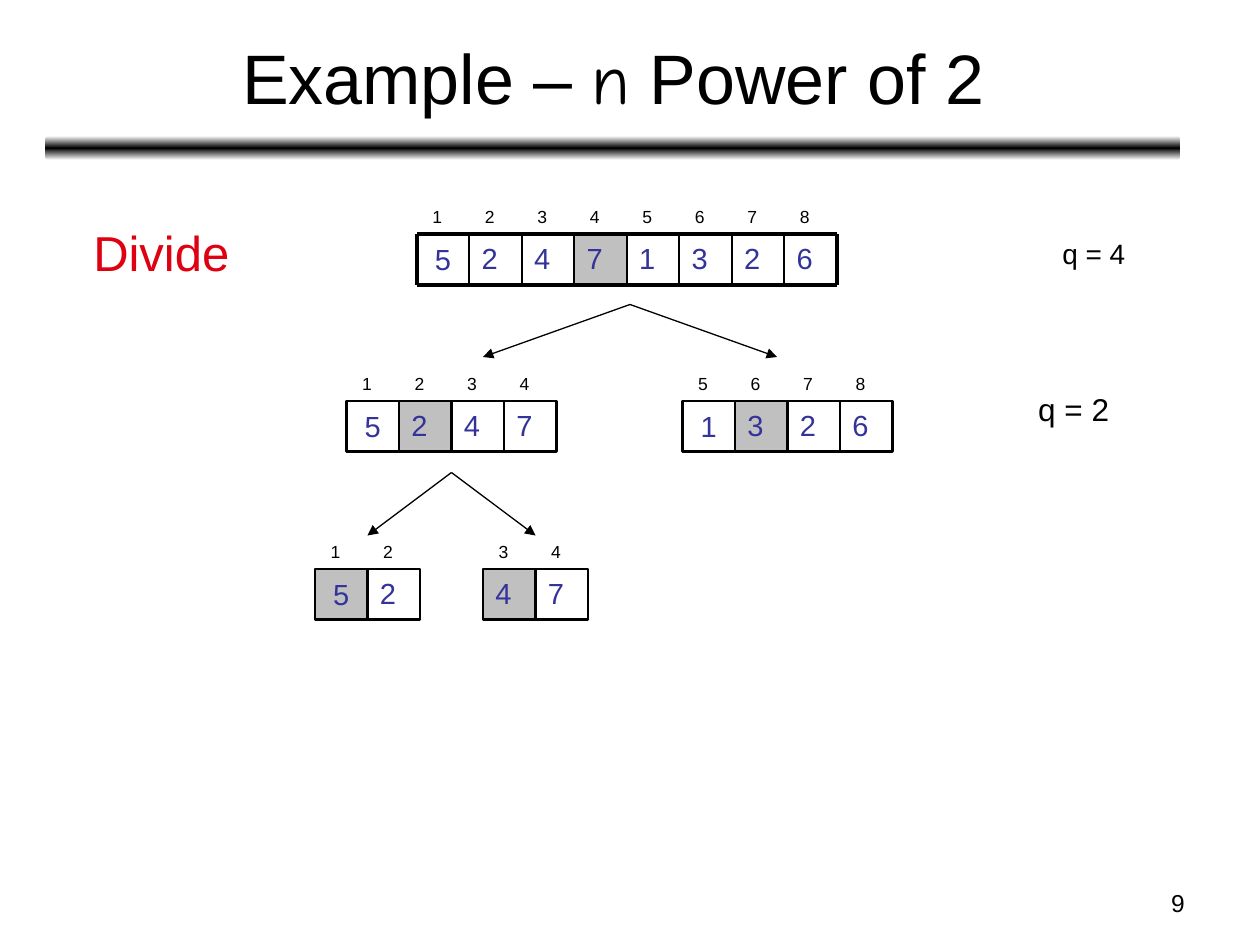
from copy import deepcopy
from dataclasses import dataclass
from itertools import product

from pptx import Presentation
from pptx.dml.color import RGBColor
from pptx.enum.shapes import MSO_CONNECTOR, MSO_SHAPE
from pptx.enum.text import MSO_ANCHOR, MSO_AUTO_SIZE, PP_ALIGN
from pptx.oxml.ns import qn
from pptx.oxml.xmlchemy import OxmlElement
from pptx.util import Inches, Pt

RECT, ROUND = MSO_SHAPE.RECTANGLE, MSO_SHAPE.ROUNDED_RECTANGLE
LINE = MSO_CONNECTOR.STRAIGHT
TOP, MID = MSO_ANCHOR.TOP, MSO_ANCHOR.MIDDLE
LEFT, MIDST, RIGHT = PP_ALIGN.LEFT, PP_ALIGN.CENTER, PP_ALIGN.RIGHT
FIXED = MSO_AUTO_SIZE.NONE

# The slide is a grid of 24 columns and 18 rows; one array cell is one column wide
WIDE, HIGH = 10, 7.5
UNIT = WIDE / 24
TALL = 0.96
BLACK, WHITE, GREY, BLUE, RED = "000000", "FFFFFF", "C0C0C0", "333399", "DD0111"


@dataclass
class Strip:
    """One array: grid place, first index, values, and the shaded middle."""
    col: float
    row: float
    start: int
    vals: str
    mid: int
    boxed: bool = True
    lead: bool = True  # first value is centred in its cell


@dataclass
class Split:
    """Two arrows from one peak to the halves below."""
    col: float
    row: float
    reach: float
    drop: float


@dataclass
class Note:
    text: str
    box: tuple
    size: float
    hue: str = BLACK
    align: int = LEFT
    wrap: bool = True


STRIPS = [
    Strip(7.94, 4.46, 1, "52471326", 3, boxed=False),
    Strip(6.6, 7.64, 1, "5247", 1),
    Strip(13, 7.64, 5, "1326", 1),
    Strip(6, 10.84, 1, "52", 0),
    Strip(9.2, 10.84, 3, "47", 0, lead=False),
]
SPLITS = [Split(12, 5.8, 2.8, 1), Split(8.6, 9, 1.6, 1.2)]
NOTES = [
    Note("Divide", (1.54, 4.13, 3.07, 1.37), 28, RED, wrap=False),
    Note("q = 4", (20, 4.39, 2.6, 0.89), 16),
    Note("q = 2", (19.54, 7.32, 2.78, 0.96), 18),
    Note("9", (17.2, 16.8, 5.6, 0.84), 14, align=RIGHT),
]


def color(code: str) -> RGBColor:
    return RGBColor.from_string(code)


def grid(*units: float) -> list:
    return [Inches(n * UNIT) for n in units]


def add_run(para, text: str, size: float, hue: str = BLACK, face: str = "Arial") -> None:
    run = para.add_run()
    run.text = text
    run.font.size, run.font.name = Pt(size), face
    run.font.color.rgb = color(hue)


def add_note(slide, note: Note) -> None:
    frame = slide.shapes.add_textbox(*grid(*note.box)).text_frame
    frame.word_wrap = note.wrap
    para = frame.paragraphs[0]
    para.alignment = note.align
    add_run(para, note.text, note.size, note.hue)


def add_line(slide, ends: tuple, width: float, arrow: bool = False) -> None:
    line = slide.shapes.add_connector(LINE, *grid(*ends))
    line.line.color.rgb = color(BLACK)
    line.line.width = Pt(width)
    if arrow:
        tail = OxmlElement("a:tailEnd")
        tail.set("type", "triangle")
        line.line._get_or_add_ln().append(tail)
    line._element.spPr.append(OxmlElement("a:effectLst"))


def add_cell(slide, strip: Strip, i: int) -> None:
    cell = slide.shapes.add_shape(RECT, *grid(strip.col + i, strip.row, 1, TALL))
    cell.shadow.inherit = False
    if i == strip.mid:
        cell.fill.solid()
        cell.fill.fore_color.rgb = color(GREY)
    else:
        cell.fill.background()
    if strip.boxed:
        cell.line.color.rgb = color(BLACK)
        cell.line.width = Pt(1.5)
    else:
        cell.line.fill.background()
    lead = strip.lead and i == 0
    frame = cell.text_frame
    frame.word_wrap = True
    frame.vertical_anchor = MID if lead else TOP
    para = frame.paragraphs[0]
    para.alignment = MIDST if lead else LEFT
    para.space_before = Pt(4.5)
    add_run(para, strip.vals[i], 16.6, BLUE)


def add_rules(slide, strip: Strip) -> None:
    """Thick outer frame with thin lines between the cells."""
    count, base = len(strip.vals), strip.row + TALL
    for y in (strip.row, base):
        add_line(slide, (strip.col, y, strip.col + count, y), 2.25)
    for i in range(count + 1):
        x = strip.col + i
        add_line(slide, (x, strip.row, x, base), 2.25 if i in (0, count) else 1)


def add_strip(slide, strip: Strip) -> None:
    for i in range(len(strip.vals)):
        box = (strip.col + i + 0.06, strip.row - 0.66, 0.6, 0.64)
        add_note(slide, Note(str(strip.start + i), box, 10))
    for i in reversed(range(len(strip.vals))):
        add_cell(slide, strip, i)
    if not strip.boxed:
        add_rules(slide, strip)


def add_bar(slide) -> None:
    bar = slide.shapes.add_shape(ROUND, *grid(0.86, 2.59, 21.62, 0.46))
    bar.shadow.inherit = False
    bar.line.fill.background()
    bar.fill.gradient()
    bar.fill.gradient_angle = 90
    stops = bar._element.spPr.find(qn("a:gradFill")).find(qn("a:gsLst"))
    stops.append(deepcopy(stops[0]))
    for stop, hue, spot in zip(bar.fill.gradient_stops, (WHITE, BLACK, WHITE), (0, 0.5, 1)):
        stop.color.rgb = color(hue)
        stop.position = spot


def add_title(slide) -> None:
    title = slide.shapes.title
    title.left, title.top, title.width, title.height = grid(0.88, 0.26, 21.6, 2.38)
    frame = title.text_frame
    frame.auto_size, frame.vertical_anchor = FIXED, MID
    para = frame.paragraphs[0]
    para.alignment = MIDST
    add_run(para, "Example – ", 40)
    add_run(para, "n", 40, face="Comic Neue")
    add_run(para, " Power of 2", 40)


def main() -> None:
    deck = Presentation()
    deck.slide_width, deck.slide_height = Inches(WIDE), Inches(HIGH)
    slide = deck.slides.add_slide(deck.slide_layouts[5])
    # Heading
    add_bar(slide)
    add_title(slide)
    # Arrays and their splits
    for strip in STRIPS:
        add_strip(slide, strip)
    for split, side in product(SPLITS, (-1, 1)):
        tip = (split.col + side * split.reach, split.row + split.drop)
        add_line(slide, (split.col, split.row, *tip), 0.75, arrow=True)
    # Labels and page number
    for note in NOTES:
        add_note(slide, note)
    deck.save("out.pptx")


if __name__ == "__main__":
    main()
